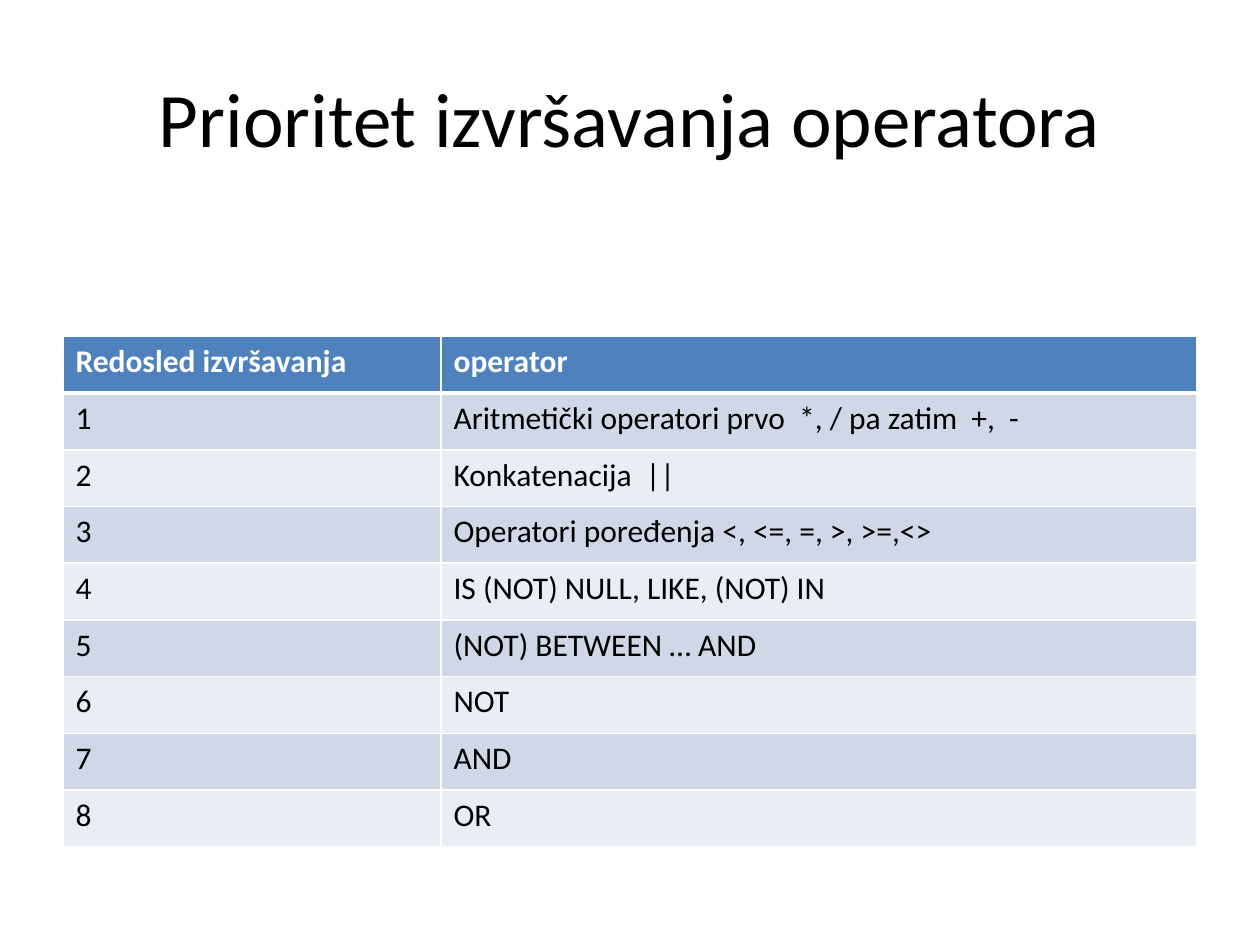
from lxml import etree
from pptx import Presentation
from pptx import util as u
from pptx.dml.color import RGBColor
from pptx.enum import text
from pptx.oxml import ns

COLORS = {
    "ink": "000000",
    "paper": "FFFFFF",
    "header": "4F81BD",
    "odd": "D0D8E8",
    "even": "E9EDF4",
}

OPERATORS = [
    "Aritmetički operatori prvo  *, / pa zatim  +,  -",
    "Konkatenacija  ||",
    "Operatori poređenja <, <=, =, >, >=,<>",
    "IS (NOT) NULL, LIKE, (NOT) IN",
    "(NOT) BETWEEN … AND",
    "NOT",
    "AND",
    "OR",
]


class SlideBuilder:
    font_name = "Calibri"

    def __init__(self, page):
        self.page = page

    def add_words(self, frame, words, color, align, **font_format):
        para = frame.paragraphs[0]
        para.alignment = align
        span = para.add_run()
        span.text = words
        for name, value in {"name": self.font_name, **font_format}.items():
            setattr(span.font, name, value)
        span.font.color.rgb = RGBColor.from_string(COLORS[color])

    def title(self, words, left, top, width, height):
        box = self.page.shapes.add_textbox(
            *map(u.Inches, (left, top, width, height)))
        frame = box.text_frame
        frame.word_wrap = True
        frame.vertical_anchor = text.MSO_ANCHOR.MIDDLE
        self.add_words(frame, words, "ink", text.PP_ALIGN.CENTER,
                       size=u.Pt(44))

    def borders(self, cell, top, bottom):
        properties = cell._tc.get_or_add_tcPr()
        for side, points in {"L": 1, "R": 1, "T": top, "B": bottom}.items():
            line = etree.SubElement(properties, ns.qn(f"a:ln{side}"),
                                    w=str(u.Pt(points)))
            fill = etree.SubElement(line, ns.qn("a:solidFill"))
            etree.SubElement(fill, ns.qn("a:srgbClr"), val=COLORS["paper"])

    def table(self, rows, left, top, column_widths, row_height):
        table = self.page.shapes.add_table(
            len(rows), len(column_widths), u.Inches(left), u.Inches(top),
            u.Inches(sum(column_widths)),
            u.Inches(row_height * len(rows))).table
        for column, width in zip(table.columns, column_widths):
            column.width = u.Inches(width)
        for r, row in enumerate(rows):
            is_header = r == 0
            band = "header" if is_header else "odd" if r % 2 else "even"
            for c, words in enumerate(row):
                cell = table.cell(r, c)
                # Borders come before the fill in the cell properties
                self.borders(cell, top=3 if r == 1 else 1,
                             bottom=3 if is_header else 1)
                cell.fill.solid()
                cell.fill.fore_color.rgb = RGBColor.from_string(COLORS[band])
                self.add_words(cell.text_frame, words,
                               "paper" if is_header else "ink",
                               text.PP_ALIGN.LEFT, size=u.Pt(18),
                               bold=is_header)


def main():
    deck = Presentation()
    deck.slide_width, deck.slide_height = u.Inches(10), u.Inches(7.5)
    builder = SlideBuilder(deck.slides.add_slide(deck.slide_layouts[6]))

    # Title
    builder.title("Prioritet izvršavanja operatora", 0.5, 0.3, 9, 1.25)

    # Operators in order of precedence
    rows = [("Redosled izvršavanja", "operator")]
    rows += [(str(rank), name) for rank, name in enumerate(OPERATORS, 1)]
    builder.table(rows, 0.5, 2.67, column_widths=(3, 6), row_height=0.45)

    deck.save("out.pptx")


if __name__ == "__main__":
    main()
